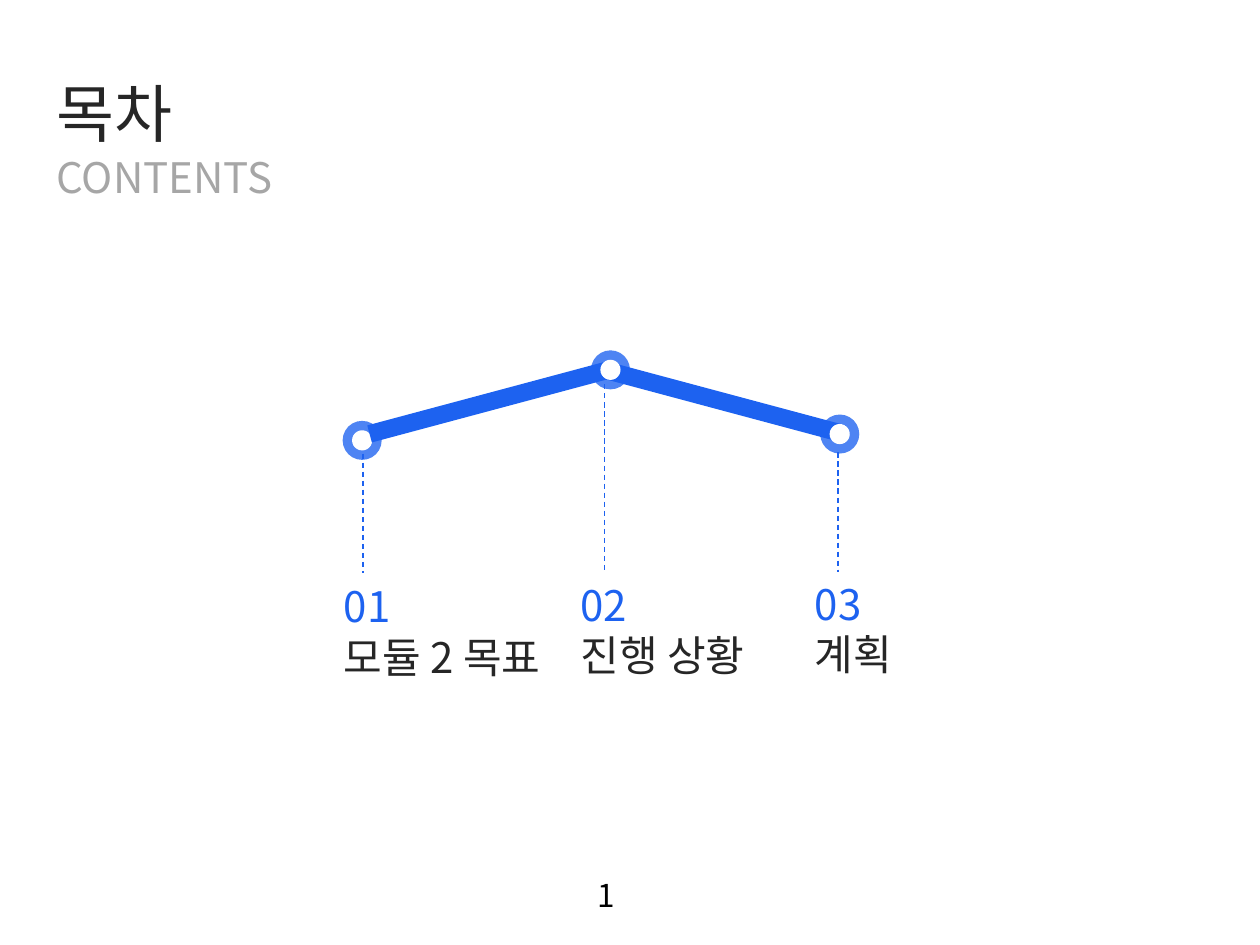
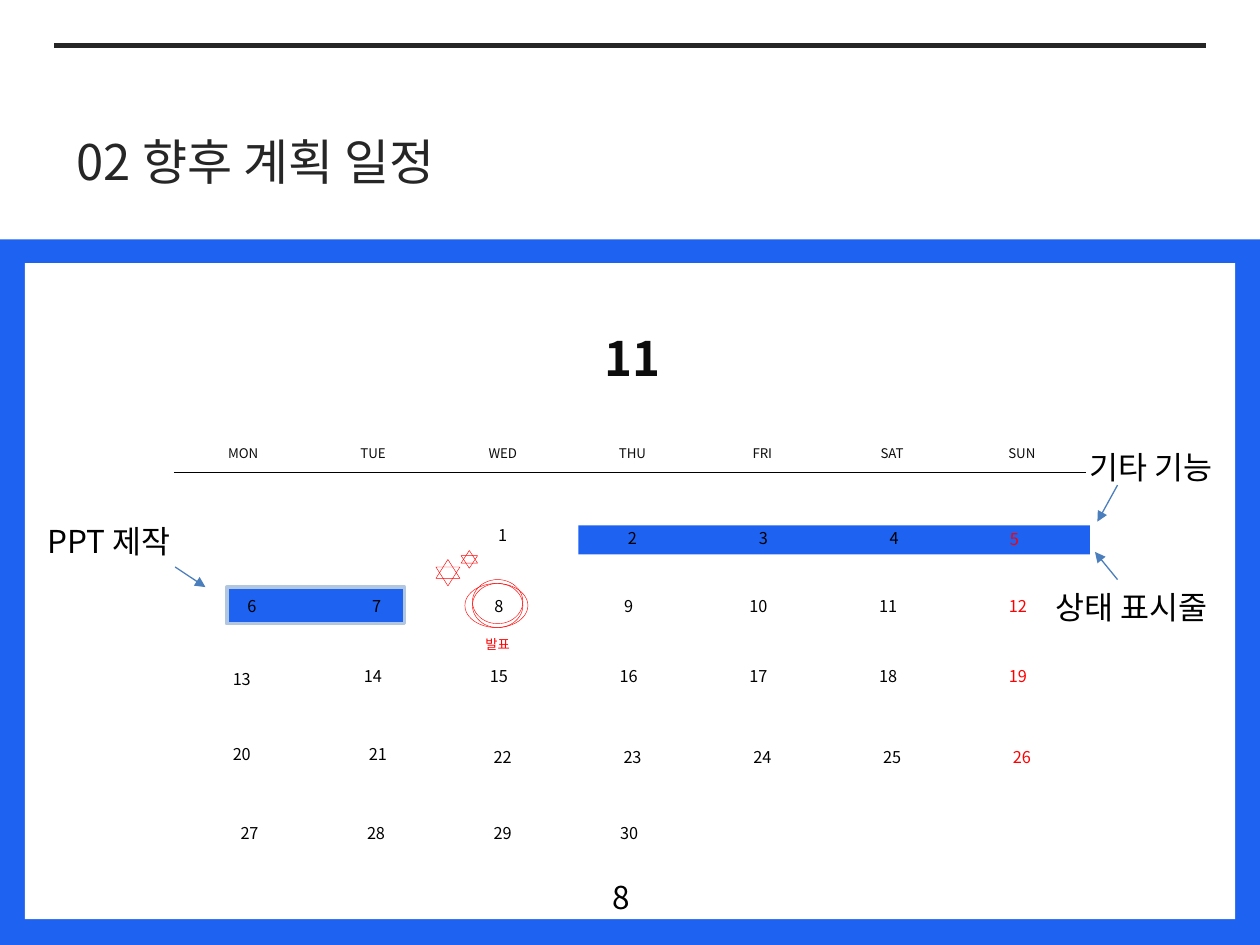
from lxml import etree
from pptx import Presentation
from pptx.dml.color import RGBColor
from pptx.enum.dml import MSO_LINE
from pptx.enum.shapes import MSO_CONNECTOR, MSO_SHAPE
from pptx.enum.text import MSO_ANCHOR, MSO_AUTO_SIZE, PP_ALIGN
from pptx.oxml.ns import qn
from pptx.util import Pt

RECT = MSO_SHAPE.RECTANGLE
OVAL = MSO_SHAPE.OVAL
PEAK = MSO_SHAPE.ISOSCELES_TRIANGLE
STRAIGHT = MSO_CONNECTOR.STRAIGHT
DASH = MSO_LINE.DASH
TOP = MSO_ANCHOR.TOP
GROW = MSO_AUTO_SIZE.SHAPE_TO_FIT_TEXT
LEFT = PP_ALIGN.LEFT
CENTER = PP_ALIGN.CENTER

FONT = "Noto Sans CJK KR"
BLUE = "1D62F0"
DARK = "262626"
INK = "0D0D0D"
BLACK = "000000"
WHITE = "FFFFFF"
GRAY = "A6A6A6"
RED = "FF0000"
STEEL = "4B7EBC"
PALE = "B0C6E1"

PITCH = 74.16
STEPS = [
    ("01", "모듈 2 목표", 189.4, 328.3, 148.3),
    ("02", "진행 상황", 324.7, 327.6, 119.5),
    ("03", "계획", 458.6, 326.9, 121),
]
DROPS = [(207.4, 259.2, 327.6), (345.6, 219.6, 326.9), (478.8, 258.5, 326.9)]
DAYS = [
    (1, 1, 251.3, 296.6, PITCH),
    (2, 4, 325.4, 298.3, 74.8),
    (5, 5, 543.6, 298.8, PITCH),
    (6, 7, 108, 337, 71.3),
    (8, 12, 249.1, 337, PITCH),
    (13, 13, 102.2, 378.7, PITCH),
    (14, 14, 177.1, 377.3, PITCH),
    (15, 19, 249.1, 377.3, PITCH),
    (20, 21, 102.2, 421.9, 77.8),
    (22, 26, 251.3, 423.4, PITCH),
    (27, 30, 106.6, 466.8, 72.3),
]
STARS = [(249.1, 319.7, 324, 13.7, 10.8), (263.5, 314.6, 317.5, 9.4, 7.2)]
RINGS = [(270, 333.4, 28.8), (270, 331.2, 28.8), (265.7, 333.4, 36)]
NOTES = [
    ("PPT 제작", 20.2, 294.5, 90, (100.1, 324, 117.4, 335.5)),
    ("상태 표시줄", 596.2, 332.6, 113, (638.6, 331.2, 625.7, 315.4)),
    ("기타 기능", 615.6, 252.7, 94.3, (638.6, 277.2, 627.1, 298.1)),
]


def paint(part, color):
    part.solid()
    part.fore_color.rgb = RGBColor.from_string(color)


def place(shape, x, y, w, h):
    shape.left, shape.top, shape.width, shape.height = map(Pt, (x, y, w, h))


def write(shape, rows, size, align=LEFT, bold=False):
    frame = shape.text_frame
    frame.word_wrap = True
    frame.auto_size = GROW
    frame.vertical_anchor = TOP
    for i, (words, color) in enumerate(rows):
        para = frame.add_paragraph() if i else frame.paragraphs[0]
        para.alignment = align
        run = para.add_run()
        run.text = words
        run.font.name = FONT
        run.font.size = Pt(size)
        run.font.bold = bold
        paint(run.font.fill, color)
        props = run._r.get_or_add_rPr()
        etree.SubElement(props, qn("a:ea"), typeface=FONT)


def text(slide, rows, x, y, w, h, size, align=LEFT, bold=False):
    box = slide.shapes.add_textbox(Pt(x), Pt(y), Pt(w), Pt(h))
    write(box, rows, size, align, bold)


def title(slide, words, x, y, h, size):
    place(slide.shapes.title, x, y, 544.3, h)
    write(slide.shapes.title, [(words, DARK)], size)


def number(slide, words, x, y, w):
    text(slide, [(words, BLACK)], x, y, w, 28.8, 18)


def shape(slide, kind, x, y, w, h, fill=None, edge=None, width=0.25, turn=0):
    item = slide.shapes.add_shape(kind, Pt(x), Pt(y), Pt(w), Pt(h))
    item.shadow.inherit = False
    item.rotation = turn
    if fill:
        paint(item.fill, fill)
    else:
        item.fill.background()
    if edge:
        paint(item.line.fill, edge)
        item.line.width = Pt(width)
    else:
        item.line.fill.background()
    return item


def line(slide, ends, color, width, dash=None, arrow=False):
    item = slide.shapes.add_connector(STRAIGHT, *map(Pt, ends))
    paint(item.line.fill, color)
    item.line.width = Pt(width)
    if dash:
        item.line.dash_style = dash
    if arrow:
        stroke = item.line._get_or_add_ln()
        etree.SubElement(stroke, qn("a:tailEnd"), type="triangle")
    etree.SubElement(item._element.spPr, qn("a:effectLst"))


def node(slide, x, y):
    ring = shape(slide, OVAL, x, y, 22.3, 22.3, BLUE)
    color = ring._element.spPr.find(qn("a:solidFill"))[0]
    etree.SubElement(color, qn("a:alpha"), val="78000")
    shape(slide, OVAL, x + 5.4, y + 5.4, 11.5, 11.5, WHITE)


def bar(slide, x, turn):
    shape(slide, RECT, x, 224.6, 141.8, 10.1, BLUE, turn=turn)


def contents(slide):
    title(slide, "목차", 25.2, 38.9, 51.1, 36)
    text(slide, [("CONTENTS", GRAY)], 25.2, 82.8, 544.3, 36, 24)
    for x, top, end in DROPS:
        line(slide, (x, top, x, end), BLUE, 0.75, DASH)
    bar(slide, 342.7, 15)
    node(slide, 468.7, 236.9)
    node(slide, 195.8, 240.5)
    bar(slide, 208.8, 345)
    node(slide, 337.7, 200.2)
    for num, name, x, y, w in STEPS:
        text(slide, [(num, BLUE), (name, DARK)], x, y, w, 65.5, 24)
    number(slide, "1", 334.1, 496.8, 45.4)


def marks(slide):
    shape(slide, RECT, 330.5, 300.2, 292.3, 16.6, BLUE)
    shape(slide, RECT, 129.6, 335.5, 101.5, 20.9, BLUE, PALE, 2)
    for x, up, down, w, h in STARS:
        shape(slide, PEAK, x, up, w, h, edge=RED)
        shape(slide, PEAK, x, down, w, h, edge=RED, turn=180)
    for x, y, w in RINGS:
        shape(slide, OVAL, x, y, w, 25.2, edge=RED)
    text(slide, [("발표", RED)], 246.2, 360, 76.3, 16.6, 7.6, CENTER)


def month(slide):
    text(slide, [("11", INK)], 325.4, 184.3, 72, 40.3, 27.1, CENTER, True)
    line(slide, (99.4, 270, 620.6, 270), BLACK, 0.25)
    for i, name in enumerate("MON TUE WED THU FRI SAT SUN".split()):
        x = 103 + i * PITCH
        text(slide, [(name, INK)], x, 250.6, 72, 16.6, 7.6, CENTER)
    for first, last, left, y, step in DAYS:
        for day in range(first, last + 1):
            color = RED if day % 7 == 5 else BLACK
            x = left + (day - first) * step
            text(slide, [(str(day), color)], x, y, 72, 18.7, 9.3, CENTER)


def plan(slide):
    title(slide, "02 향후 계획 일정", 36.7, 71.3, 41, 28)
    line(slide, (31, 25.9, 689, 25.9), DARK, 3)
    shape(slide, RECT, 0, 136.8, 720, 403.2, BLUE)
    shape(slide, RECT, 14.2, 150.3, 691.6, 375, WHITE)
    marks(slide)
    month(slide)
    for words, x, y, w, ends in NOTES:
        text(slide, [(words, BLACK)], x, y, w, 28.8, 18)
        line(slide, ends, STEEL, 0.75, arrow=True)
    number(slide, "8", 342.7, 498.2, 51.8)


def main():
    deck = Presentation()
    deck.slide_width, deck.slide_height = Pt(720), Pt(540)
    for build in (contents, plan):
        build(deck.slides.add_slide(deck.slide_layouts[5]))
    deck.save("out.pptx")


if __name__ == "__main__":
    main()
